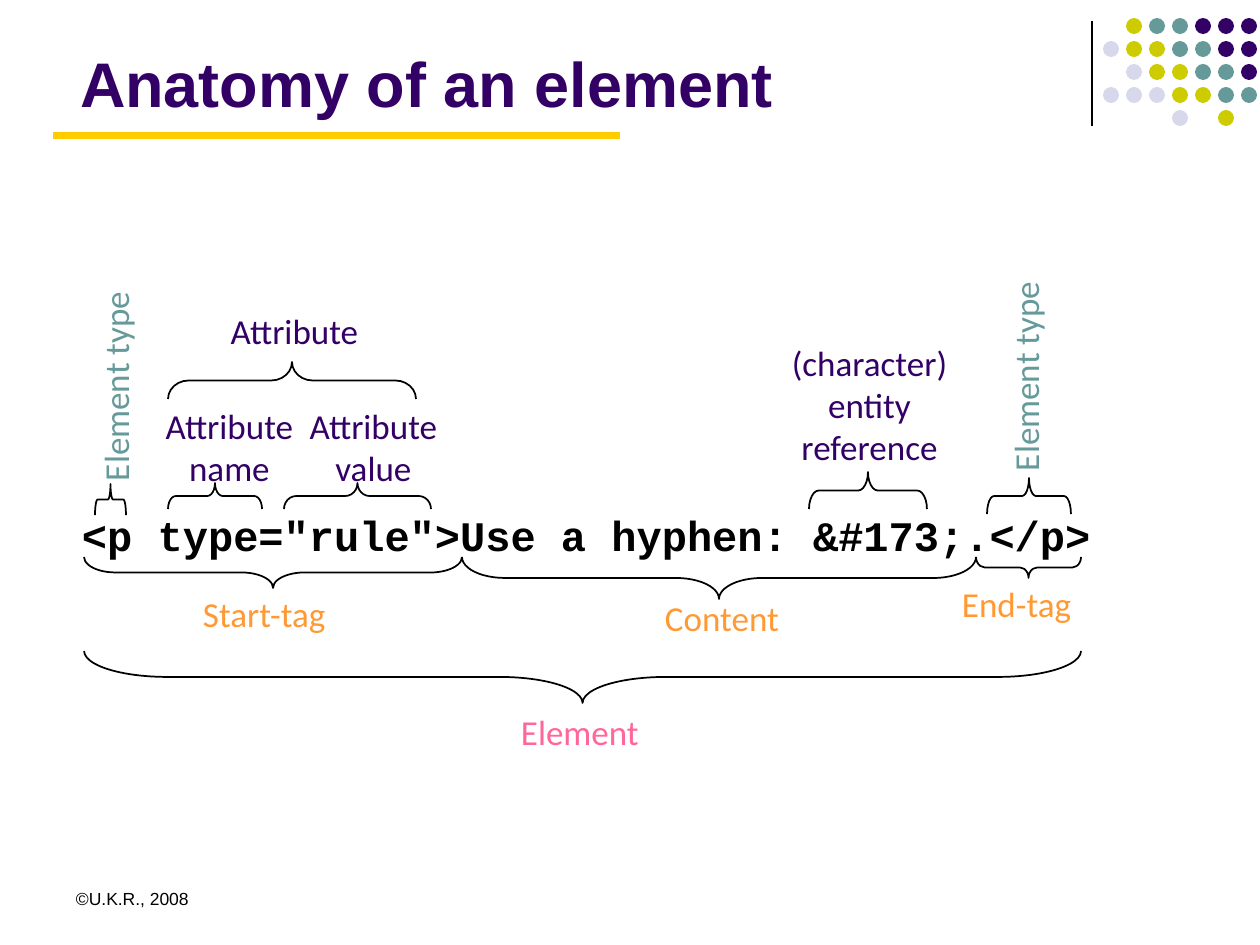
from pptx import Presentation
from pptx.dml.color import RGBColor as Rgb
from pptx.enum.shapes import MSO_CONNECTOR as Conn, MSO_SHAPE as Shape
from pptx.enum.text import MSO_ANCHOR as Anchor, PP_ALIGN as Align
from pptx.oxml.ns import qn
from pptx.util import Pt
from lxml.etree import SubElement

PX = 914400 / 126
HUES = {
    "ink": "000000", "plum": "330066", "teal": "669999", "lime": "CCCC00",
    "mist": "D8D8EC", "gold": "FFCC00", "amber": "FF9933", "pink": "FF6699",
}


def px(n):
    return round(n * PX)


def hue(name):
    return Rgb.from_string(HUES[name])


def add_line(slide, x1, y1, x2, y2, color, width):
    line = slide.shapes.add_connector(Conn.STRAIGHT, px(x1), px(y1), px(x2), px(y2))
    line.line.color.rgb = hue(color)
    line.line.width = Pt(width)
    SubElement(line._element.spPr, qn("a:effectLst"))


def add_text(slide, box, text, size, color, font="Calibri", bold=False,
             align=Align.LEFT, pad=(9, 5), anchor=Anchor.TOP):
    shape = slide.shapes.add_textbox(*map(px, box))
    frame = shape.text_frame
    frame.word_wrap = True
    frame.vertical_anchor = anchor
    frame.margin_left = frame.margin_right = px(pad[0])
    frame.margin_top = frame.margin_bottom = px(pad[1])
    para = frame.paragraphs[0]
    para.alignment = align
    for i, part in enumerate(text.split("\n")):
        if i:
            para.add_line_break()
        para.add_run().text = part
    para.font.size = Pt(size)
    para.font.name = font
    para.font.bold = bold
    para.font.color.rgb = hue(color)
    return shape


def add_brace(slide, x, y, w, h, turn):
    """Lay a right brace over a w by h box: turn 90 points down, 270 up."""
    left, top = x + (w - h) / 2, y + (h - w) / 2
    brace = slide.shapes.add_shape(Shape.RIGHT_BRACE, px(left), px(top), px(h), px(w))
    brace.adjustments[0] = w / 12 / min(w, h)
    brace.rotation = turn
    brace.shadow.inherit = False
    brace.fill.background()
    brace.line.color.rgb = hue("ink")
    brace.line.width = Pt(1)


def draw_dots(slide, x, y):
    # Rule at the left, then a grid of dots
    add_line(slide, x, y + 3, x, y + 108, "ink", 0.75)
    keys = {"P": "plum", "T": "teal", "Y": "lime", "L": "mist"}
    rows = [".YTTPPP", "LYYTTPP", ".LYYTTP", "LLLYYTT", "...L.Y."]
    for r, row in enumerate(rows):
        for c, key in enumerate(row):
            if key in keys:
                dot = slide.shapes.add_shape(
                    Shape.OVAL, px(x + 11 + 23 * c), px(y + 23 * r), px(16), px(16))
                dot.shadow.inherit = False
                dot.fill.solid()
                dot.fill.fore_color.rgb = hue(keys[key])
                dot.line.fill.background()


def draw_head(slide, x, y, w, h):
    add_line(slide, x - 10, y + h + 10, x + 557, y + h + 10, "gold", 4)
    add_text(slide, (x, y, w, h), "Anatomy of an element", 36, "plum",
             "Arial", True, pad=(17, 6), anchor=Anchor.BOTTOM)


def draw_tree(slide, x, y, w):
    # Code line
    add_text(slide, (x, y + 204, w, 59), '<p type="rule">Use a hyphen: &#173;.</p>',
             24, "ink", "Courier New", True)

    # Braces below the code, then above it
    below = [(11, 257, 378, 31), (389, 257, 514, 42),
             (903, 257, 105, 21), (11, 351, 997, 52)]
    above = [(22, 184, 31, 31), (95, 183, 94, 26), (211, 183, 147, 26),
             (736, 172, 118, 37), (914, 178, 84, 36), (95, 62, 248, 37)]
    for turn, group in ((90, below), (270, above)):
        for dx, dy, bw, bh in group:
            add_brace(slide, x + dx, y + dy, bw, bh, turn)

    # Labels
    tags = [
        ("Start-tag", 121, 288, 161, "amber"),
        ("Content", 583, 292, 150, "amber"),
        ("End-tag", 880, 277, 146, "amber"),
        ("Element", 439, 406, 152, "pink"),
        ("Attribute\nname", 74, 99, 165, "plum"),
        ("Attribute\nvalue", 218, 99, 165, "plum"),
        ("(character)\nentity\nreference", 699, 36, 195, "plum"),
        ("Attribute", 139, 5, 165, "plum"),
        ("Element type", -76, 48, 234, "teal"),
        ("Element type", 834, 38, 234, "teal"),
    ]
    for text, dx, dy, tw, color in tags:
        box = (x + dx, y + dy, tw, 50 + 42 * text.count("\n"))
        align = Align.CENTER if color == "plum" else Align.LEFT
        tag = add_text(slide, box, text, 20, color, align=align)
        if color == "teal":
            tag.rotation = 270


def draw_foot(slide, x, y, w, h):
    add_text(slide, (x, y, w, h), "©U.K.R., 2008", 10, "ink", "Arial", pad=(13, 6))


def main():
    deck = Presentation()
    deck.slide_width, deck.slide_height = px(1260), px(945)
    slide = deck.slides.add_slide(deck.slide_layouts[6])
    draw_dots(slide, 1092, 18)
    draw_head(slide, 63, 16, 1040, 110)
    draw_foot(slide, 63, 882, 294, 63)
    draw_tree(slide, 73, 300, 1166)
    deck.save("out.pptx")


if __name__ == "__main__":
    main()
